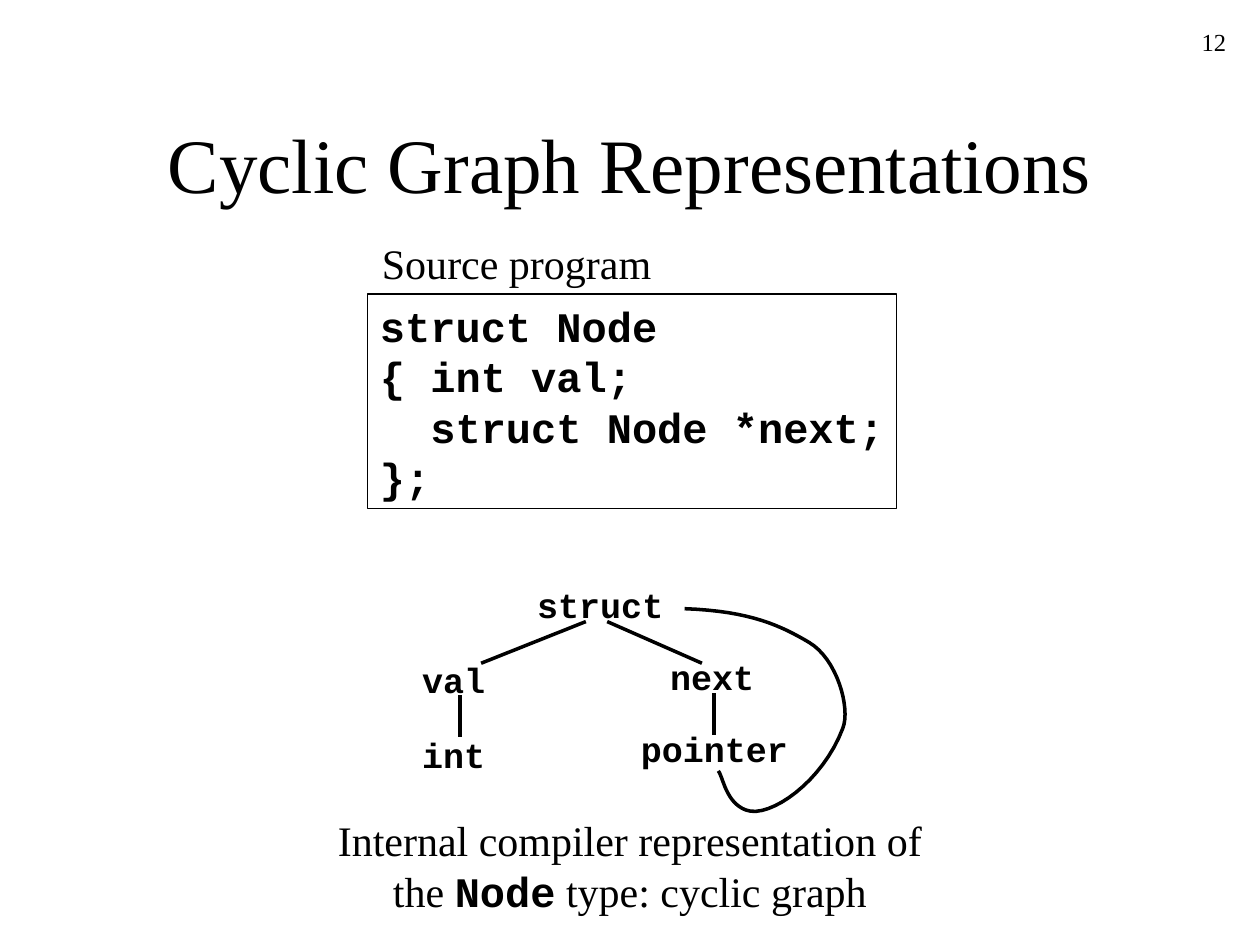
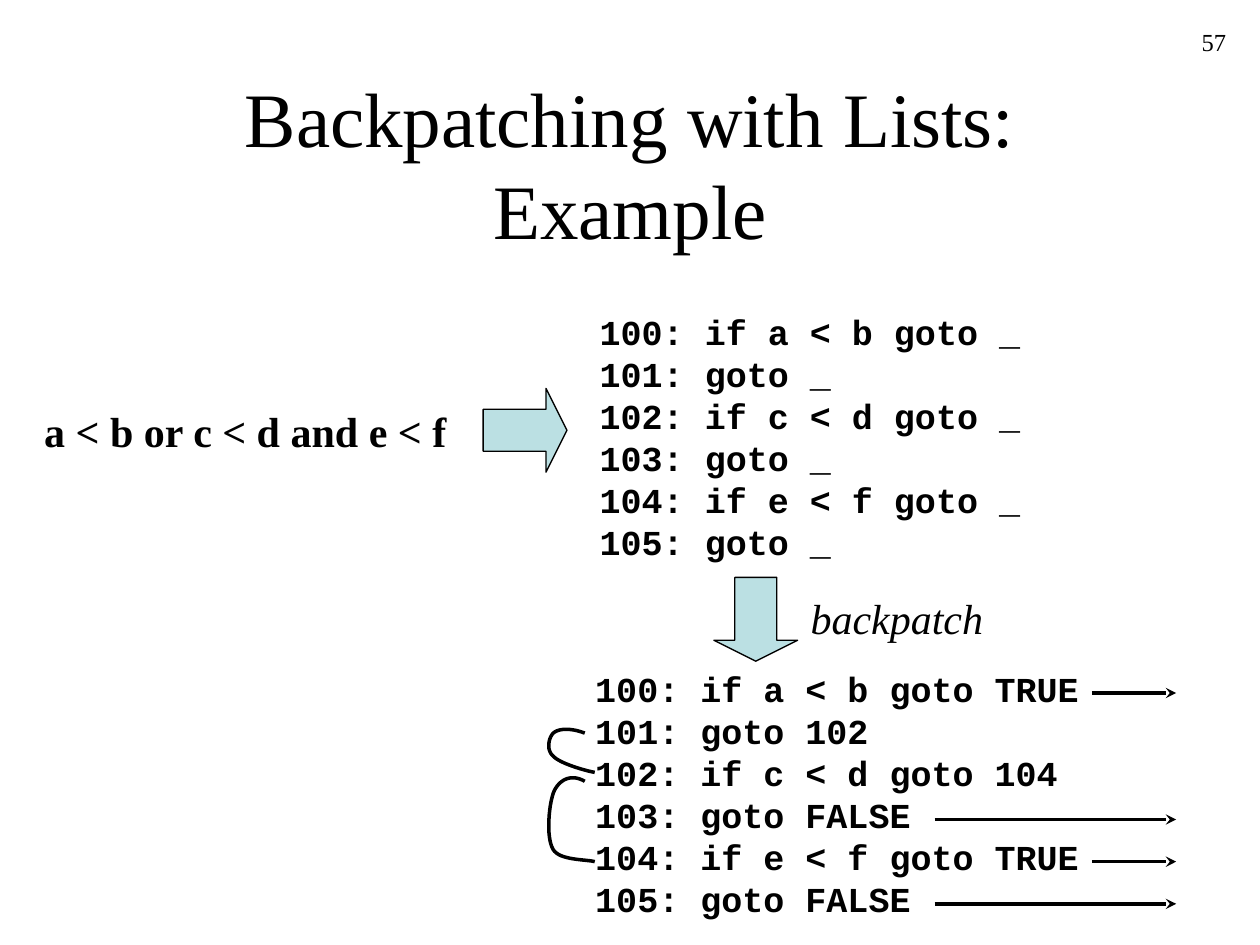
from dataclasses import dataclass

from lxml import etree
from pptx import Presentation
from pptx.dml.color import RGBColor
from pptx.enum.shapes import MSO_CONNECTOR, MSO_SHAPE
from pptx.enum.text import MSO_ANCHOR, MSO_AUTO_SIZE, PP_ALIGN
from pptx.oxml.ns import qn
from pptx.shapes.base import BaseShape
from pptx.slide import Slide
from pptx.util import Cm, Pt

LEFT, MID, RIGHT = PP_ALIGN.LEFT, PP_ALIGN.CENTER, PP_ALIGN.RIGHT
TOP, CENTRE = MSO_ANCHOR.TOP, MSO_ANCHOR.MIDDLE
GROW, FIXED = MSO_AUTO_SIZE.SHAPE_TO_FIT_TEXT, MSO_AUTO_SIZE.NONE
RECT, ARROW = MSO_SHAPE.RECTANGLE, MSO_SHAPE.RIGHT_ARROW
STRAIGHT = MSO_CONNECTOR.STRAIGHT

COLOURS = {"ink": "000000", "arrow": "BBE0E3"}
SERIF, MONO = "Times New Roman", "Courier New"
THICK, THIN = 2, 0.75
STEPS = 16

Point = tuple[float, float]


@dataclass
class Run:
    text: str
    size: float
    font: str = SERIF
    bold: bool = False
    slant: bool = False


@dataclass
class Label:
    left: float
    top: float
    width: float
    height: float
    paras: list[list[Run]]
    align: PP_ALIGN = LEFT
    anchor: MSO_ANCHOR = TOP
    wrap: bool = False
    grow: bool = True
    framed: bool = False


@dataclass
class Link:
    start: Point
    end: Point
    head: bool = False


@dataclass
class Block:
    left: float
    top: float
    side: float
    turn: float = 0


def tint(name: str) -> RGBColor:
    return RGBColor.from_string(COLOURS[name])


def outline(shape: BaseShape, width: float) -> None:
    shape.line.color.rgb = tint("ink")
    shape.line.width = Pt(width)


def code(text: str, size: float = 20) -> list[Run]:
    return [Run(text, size, MONO, True)]


def draw_label(slide: Slide, label: Label) -> None:
    area = [Cm(n) for n in (label.left, label.top, label.width, label.height)]
    if label.framed:
        box = slide.shapes.add_shape(RECT, *area)
        box.shadow.inherit = False
        box.fill.background()
        outline(box, THIN)
    else:
        box = slide.shapes.add_textbox(*area)
    frame = box.text_frame
    frame.word_wrap = label.wrap
    frame.auto_size = GROW if label.grow else FIXED
    frame.vertical_anchor = label.anchor
    for i, runs in enumerate(label.paras):
        para = frame.add_paragraph() if i else frame.paragraphs[0]
        para.alignment = label.align
        for run in runs:
            for j, line in enumerate(run.text.split("\n")):
                if j:
                    para.add_line_break()
                part = para.add_run()
                part.text = line
                part.font.name = run.font
                part.font.size = Pt(run.size)
                part.font.bold = run.bold
                part.font.italic = run.slant
                part.font.color.rgb = tint("ink")


def draw_link(slide: Slide, link: Link) -> None:
    ends = [Cm(n) for n in (*link.start, *link.end)]
    line = slide.shapes.add_connector(STRAIGHT, *ends)
    outline(line, THICK)
    if link.head:
        tail = etree.SubElement(line.line._get_or_add_ln(), qn("a:tailEnd"))
        tail.set("type", "stealth")
    etree.SubElement(line._element.spPr, qn("a:effectLst"))


def draw_block(slide: Slide, block: Block) -> None:
    side = Cm(block.side)
    shape = slide.shapes.add_shape(ARROW, Cm(block.left), Cm(block.top), side, side)
    shape.adjustments[0] = 0.5
    shape.adjustments[1] = 0.25
    shape.rotation = block.turn
    shape.shadow.inherit = False
    shape.fill.solid()
    shape.fill.fore_color.rgb = tint("arrow")
    outline(shape, THIN)


def blend(knots: list[Point], t: float) -> Point:
    u = 1 - t
    parts = (u**3, 3 * u * u * t, 3 * u * t * t, t**3)
    x, y = (sum(w * k[axis] for w, k in zip(parts, knots)) for axis in (0, 1))
    return Cm(x), Cm(y)


def draw_curve(slide: Slide, knots: list[Point]) -> None:
    spots = [
        blend(knots[i : i + 4], step / STEPS)
        for i in range(0, len(knots) - 1, 3)
        for step in range(1, STEPS + 1)
    ]
    x, y = knots[0]
    path = slide.shapes.build_freeform(Cm(x), Cm(y))
    path.add_line_segments(spots, close=False)
    shape = path.convert_to_shape()
    shape.shadow.inherit = False
    shape.fill.background()
    outline(shape, THICK)


def new_slide(deck: Presentation, title: str, number: str) -> Slide:
    slide = deck.slides.add_slide(deck.slide_layouts[6])
    draw_label(slide, Label(19.69, 0.43, 5.28, 1.27, [[Run(number, 14)]],
                            RIGHT, wrap=True, grow=False))
    draw_label(slide, Label(1.91, 1.69, 21.59, 3.18, [[Run(title, 44)]],
                            MID, CENTRE, wrap=True, grow=False))
    return slide


def cyclic(deck: Presentation) -> None:
    slide = new_slide(deck, "Cyclic Graph Representations", "12")
    source = "struct Node\n{ int val;\n  struct Node *next;"
    draw_label(slide, Label(7.41, 5.93, 10.67, 4.32,
                            [code(source, 24), code("};", 24)], framed=True))
    draw_label(slide, Label(7.45, 4.66, 5.94, 1.27, [[Run("Source program", 24)]]))
    nodes = [
        ("struct", 10.58, 11.64, 3.05),
        ("val", 8.26, 13.16, 1.78),
        ("int", 8.26, 14.66, 1.78),
        ("next", 13.26, 13.08, 2.21),
        ("pointer", 12.67, 14.55, 3.48),
    ]
    for name, left, top, width in nodes:
        draw_label(slide, Label(left, top, width, 1.11, [code(name)]))
    edges = [
        Link((11.81, 12.53), (9.7, 13.37)),
        Link((12.24, 12.53), (14.15, 13.37)),
        Link((9.27, 14.02), (9.27, 14.86)),
        Link((14.39, 13.97), (14.39, 14.82)),
    ]
    for edge in edges:
        draw_link(slide, edge)
    draw_curve(slide, [
        (14.48, 15.54), (14.58, 15.67), (14.63, 16.18), (15.04, 16.33),
        (15.52, 16.51), (16.59, 15.75), (16.99, 14.68),
        (17.15, 14.27), (16.87, 13.28), (16.31, 12.95),
        (15.75, 12.62), (15.14, 12.32), (13.8, 12.27),
    ])
    caption = [
        Run("Internal compiler representation of the ", 24),
        *code("Node", 24),
        Run(" type: cyclic graph", 24),
    ]
    draw_label(slide, Label(6.56, 16.3, 12.28, 2.29, [caption], MID, wrap=True))


def listing(goals: list[str]) -> list[Run]:
    tests = ["if a < b ", "", "if c < d ", "", "if e < f ", ""]
    rows = [f"{100 + i}: {test}goto {goal}"
            for i, (test, goal) in enumerate(zip(tests, goals))]
    return code("\n".join(rows))


def patching(deck: Presentation) -> None:
    slide = new_slide(deck, "Backpatching with Lists: Example", "57")
    goals = ["TRUE", "102", "104", "FALSE", "TRUE", "FALSE"]
    labels = [
        Label(0.64, 8.04, 8.64, 1.27, [[Run("a < b or c < d and e < f", 24, bold=True)]]),
        Label(11.84, 6.14, 8.99, 5.33, [listing(["_"] * len(goals))]),
        Label(11.75, 13.33, 10.26, 5.33, [listing(goals)]),
        Label(16.09, 11.82, 3.98, 1.27, [[Run("backpatch", 24, slant=True)]]),
    ]
    for label in labels:
        draw_label(slide, label)
    draw_block(slide, Block(9.74, 7.83, 1.69))
    draw_block(slide, Block(14.39, 11.64, 1.69, 90))
    starts = {"TRUE": 22.01, "FALSE": 18.84}
    for row, goal in enumerate(goals):
        if goal in starts:
            y = 13.97 + row * 0.85
            draw_link(slide, Link((starts[goal], y), (23.71, y), True))
    across = [11.79, 11.53, 11.3, 11.18, 11.07, 11, 11.15, 11.28, 11.81, 11.99]
    loops = [
        [14.78, 14.68, 14.68, 14.76, 14.83, 15.11, 15.24, 15.39, 15.54, 15.57],
        [15.75, 15.6, 15.7, 15.93, 16.15, 16.87, 17.12, 17.35, 17.32, 17.37],
    ]
    for down in loops:
        draw_curve(slide, list(zip(across, down)))


def main() -> None:
    deck = Presentation()
    deck.slide_width, deck.slide_height = Cm(25.4), Cm(19.05)
    cyclic(deck)
    patching(deck)
    deck.save("out.pptx")


if __name__ == "__main__":
    main()
